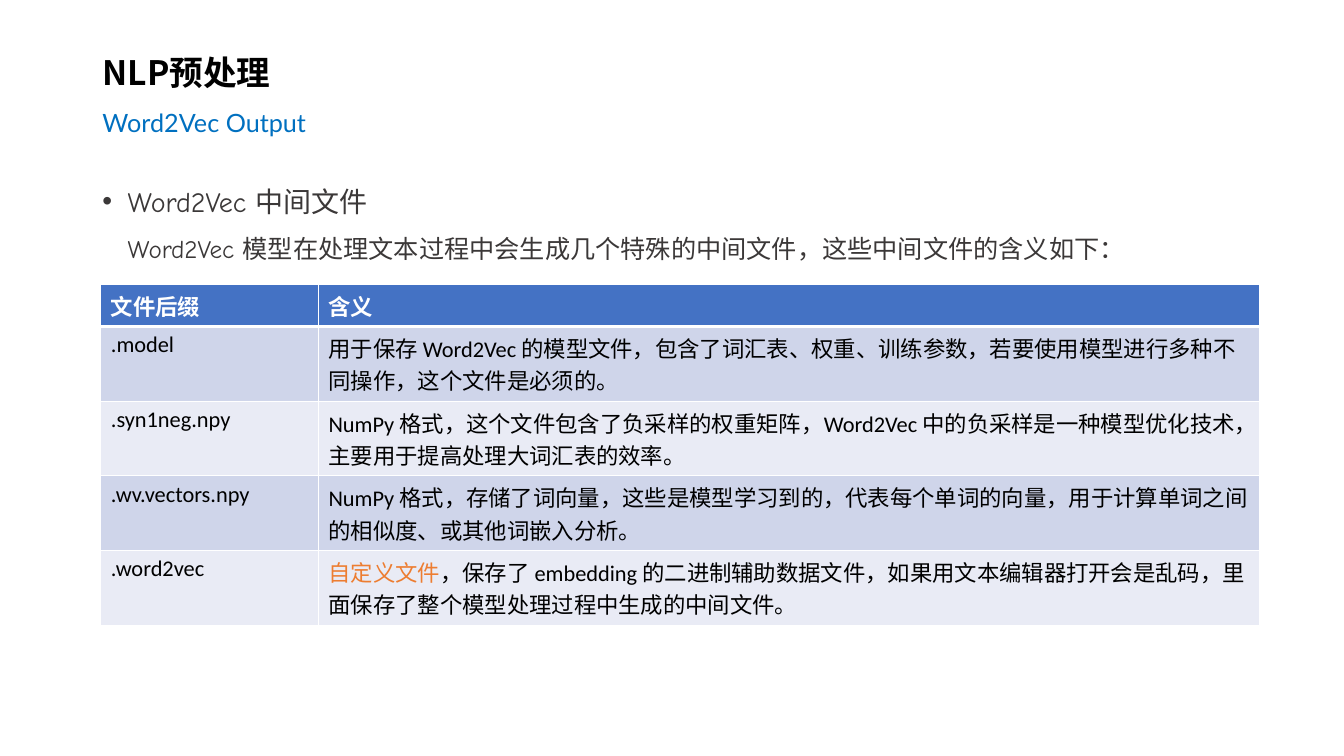
from lxml import etree
from pptx import Presentation
from pptx.dml.color import RGBColor
from pptx.enum.text import MSO_ANCHOR, MSO_AUTO_SIZE, PP_ALIGN
from pptx.oxml.ns import qn
from pptx.util import Pt

LEFT = PP_ALIGN.LEFT
TOP, MIDDLE = MSO_ANCHOR.TOP, MSO_ANCHOR.MIDDLE
NO_AUTOFIT = MSO_AUTO_SIZE.NONE

CJK_FONT = "Noto Sans CJK SC"
BLACK, WHITE, GREY = "000000", "FFFFFF", "3B3838"
BLUE, ORANGE = "0070C0", "ED7D31"
HEADER_FILL = "4472C4"
BAND_FILLS = ["CFD5EA", "E9EBF5"]

COLUMN_WIDTHS = [155.5, 672.5]
HEADER_HEIGHT, ROW_HEIGHT = 29.2, 53.2
HEADER = ["文件后缀", "含义"]
FILES = [
    (".model", "", "用于保存 Word2Vec 的模型文件，包含了词汇表、权重、训练参数，若要使用模型进行多种不同操作，这个文件是必须的。"),
    (".syn1neg.npy", "", "NumPy 格式，这个文件包含了负采样的权重矩阵，Word2Vec 中的负采样是一种模型优化技术，主要用于提高处理大词汇表的效率。"),
    (".wv.vectors.npy", "", "NumPy 格式，存储了词向量，这些是模型学习到的，代表每个单词的向量，用于计算单词之间的相似度、或其他词嵌入分析。"),
    (".word2vec", "自定义文件", "，保存了 embedding 的二进制辅助数据文件，如果用文本编辑器打开会是乱码，里面保存了整个模型处理过程中生成的中间文件。"),
]


def rgb(color):
    return RGBColor.from_string(color)


def add_text(p, text, font="Calibri", size=16, color=BLACK, bold=False):
    r = p.add_run()
    r.text = text
    r.font.name = font
    r.font.size = Pt(size)
    r.font.bold = bold
    r.font.color.rgb = rgb(color)
    east_asian = etree.SubElement(r.font._element, qn("a:ea"))
    east_asian.set("typeface", CJK_FONT)


def place(sp, left, top, width, height, anchor):
    """Position a placeholder and return its first paragraph."""
    sp.left, sp.top, sp.width, sp.height = map(Pt, (left, top, width, height))
    tf = sp.text_frame
    tf.word_wrap = True
    tf.auto_size = NO_AUTOFIT
    tf.vertical_anchor = anchor
    p = tf.paragraphs[0]
    p.alignment = LEFT
    p.line_spacing = 1.5
    return p


def add_bullet(p, indent):
    pPr = p._p.get_or_add_pPr()
    pPr.set("marL", str(Pt(indent)))
    pPr.set("indent", str(-Pt(indent)))
    etree.SubElement(pPr, qn("a:buFont")).set("typeface", "Arial")
    etree.SubElement(pPr, qn("a:buChar")).set("char", "•")


def format_cell(cell, fill, bottom=1):
    """Fill a cell and give it white borders, the bottom one of its own width."""
    tcPr = cell._tc.get_or_add_tcPr()
    for side, width in (("L", 1), ("R", 1), ("T", 1), ("B", bottom)):
        ln = etree.SubElement(tcPr, qn(f"a:ln{side}"), w=str(Pt(width)))
        solid = etree.SubElement(ln, qn("a:solidFill"))
        etree.SubElement(solid, qn("a:srgbClr"), val=WHITE)
    cell.fill.solid()
    cell.fill.fore_color.rgb = rgb(fill)


def add_file_table(s, left, top):
    height = HEADER_HEIGHT + ROW_HEIGHT * len(FILES)
    frame = s.shapes.add_table(len(FILES) + 1, len(HEADER), Pt(left), Pt(top),
                               Pt(sum(COLUMN_WIDTHS)), Pt(height))
    table = frame.table
    for column, width in zip(table.columns, COLUMN_WIDTHS):
        column.width = Pt(width)

    table.rows[0].height = Pt(HEADER_HEIGHT)
    for cell, label in zip(table.rows[0].cells, HEADER):
        format_cell(cell, HEADER_FILL, bottom=3)
        add_text(cell.text_frame.paragraphs[0], label, color=WHITE, bold=True)

    for i, (suffix, highlight, meaning) in enumerate(FILES):
        row = table.rows[i + 1]
        row.height = Pt(ROW_HEIGHT)
        for cell in row.cells:
            format_cell(cell, BAND_FILLS[i % 2], bottom=1)
        suffix_p, meaning_p = [c.text_frame.paragraphs[0] for c in row.cells]
        add_text(suffix_p, suffix)
        if highlight:
            add_text(meaning_p, highlight, color=ORANGE)
        add_text(meaning_p, meaning)


def main():
    prs = Presentation()
    prs.slide_width, prs.slide_height = Pt(960), Pt(540)
    s = prs.slides.add_slide(prs.slide_layouts[1])

    p = place(s.shapes.title, 66, 15, 828, 91, MIDDLE)
    add_text(p, "NLP预处理", font=CJK_FONT, size=24, bold=True)
    p.add_line_break()
    add_text(p, "Word2Vec Output", font="Lato", size=18, color=BLUE)

    p = place(s.placeholders[1], 66, 116, 828, 370, TOP)
    p.space_before = Pt(10)
    add_bullet(p, 18)
    add_text(p, "Word2Vec 中间文件", font="Comic Neue", size=20, color=GREY)
    p.add_line_break()
    add_text(p, "Word2Vec 模型在处理文本过程中会生成几个特殊的中间文件，这些中间文件的含义如下：",
             font="Comic Neue", size=18, color=GREY)

    add_file_table(s, 72, 203)
    prs.save("out.pptx")


if __name__ == "__main__":
    main()
